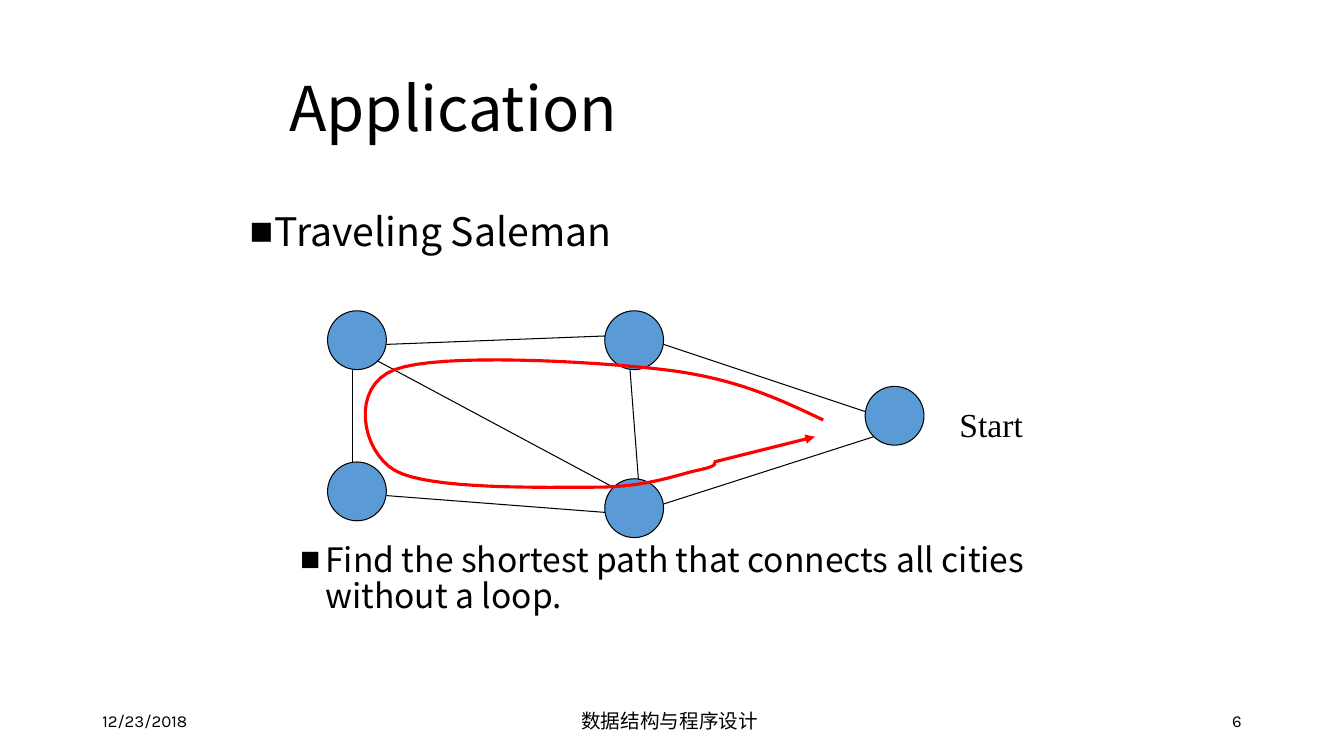
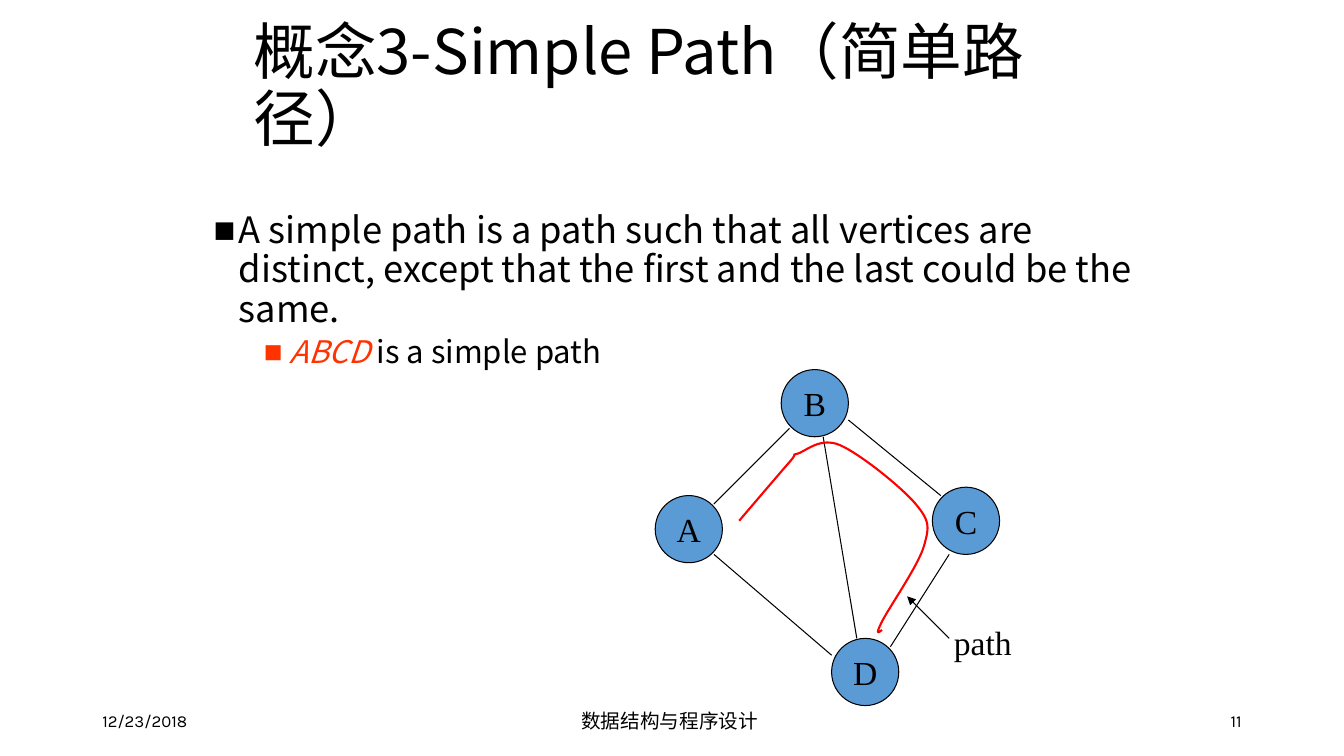
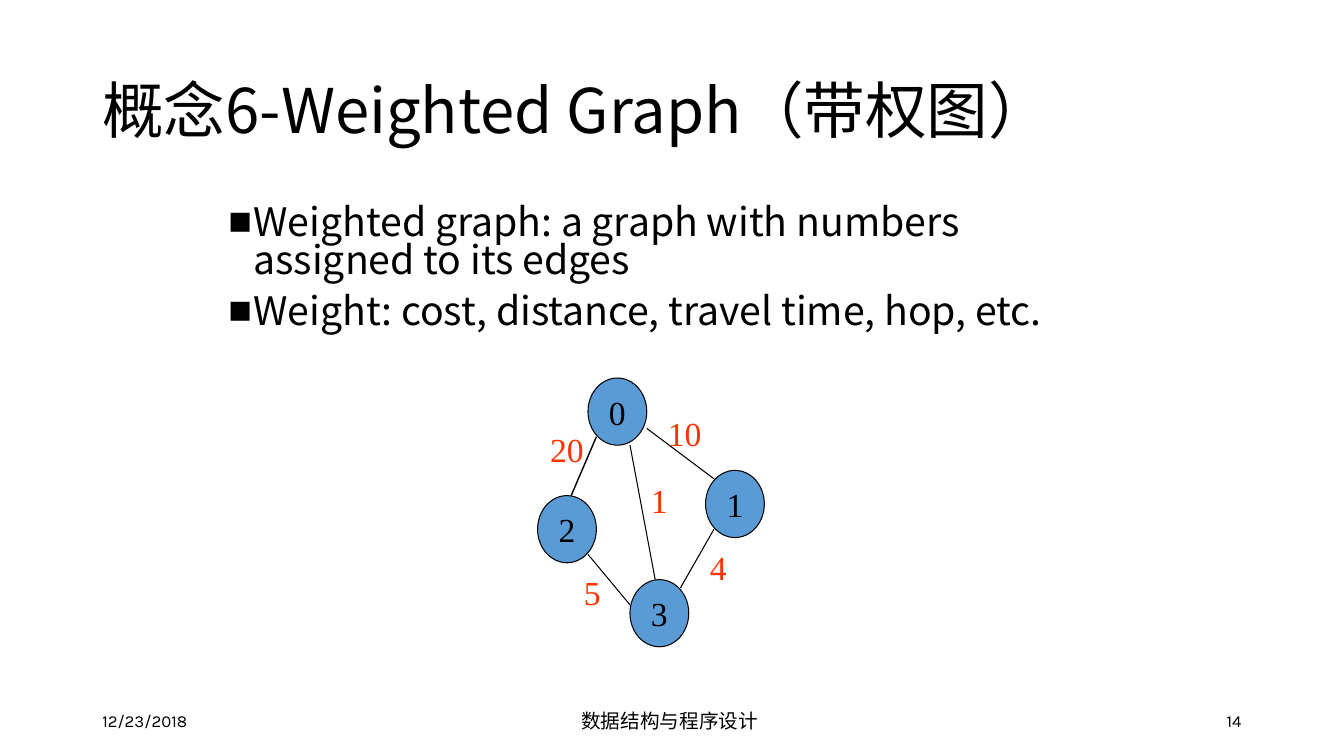
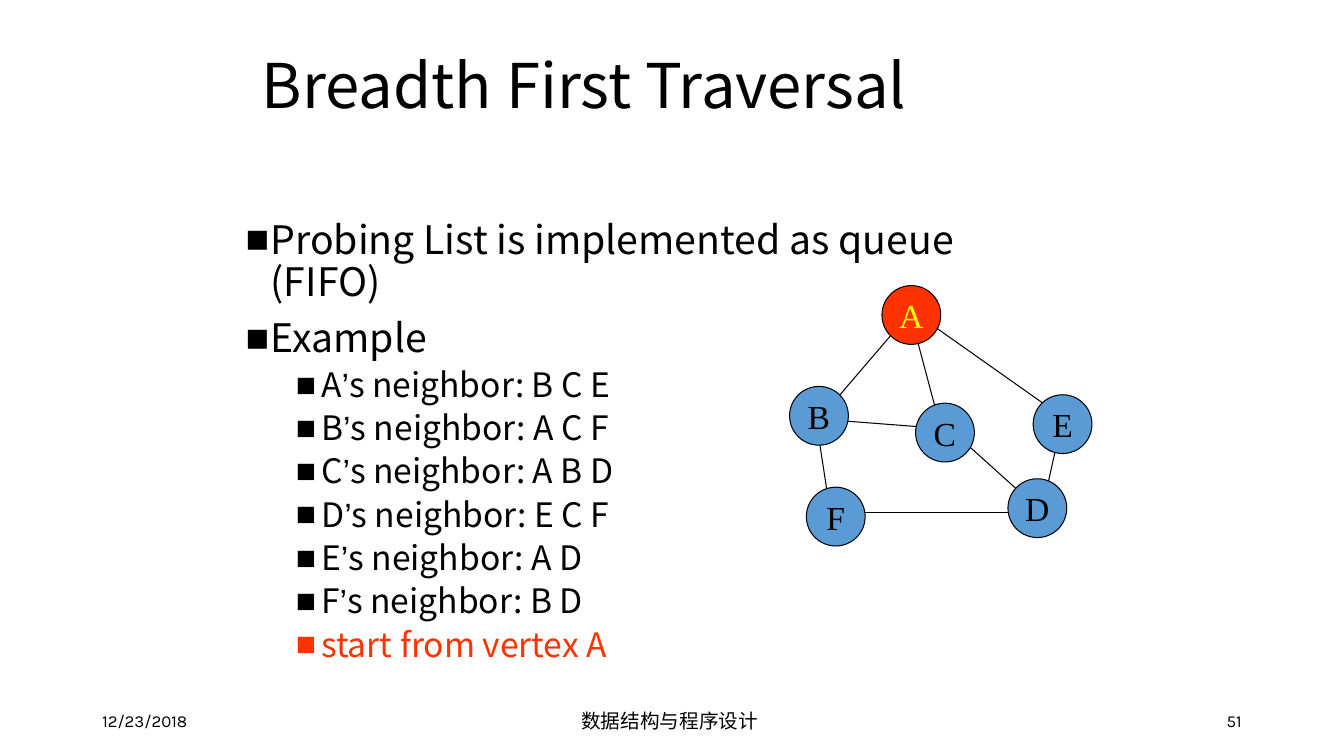
from lxml import etree
from pptx import Presentation, util as u
from pptx.dml.color import RGBColor
from pptx.enum import shapes, text
from pptx.oxml.ns import qn

COLUMNS, ROWS = 160, 90
CELL = u.Inches(1) // 12
COLORS = {
    "ink": "000000",
    "node": "5B9BD5",
    "accent": "FF3300",
    "route": "FF0000",
    "start": "FFFF00",
}
FONTS = {"main": "Noto Sans CJK SC", "footer": "Karla", "graph": "Times New Roman", "mark": "Arial"}
CENTER = text.PP_ALIGN.CENTER
MIDDLE = text.MSO_ANCHOR.MIDDLE
TIGHT = {"word_wrap": False, "margin_left": 0, "margin_right": 0}
STEPS = 16


def cells(*values):
    return [round(value * CELL) for value in values]


def rgb(name):
    return RGBColor.from_string(COLORS[name])


def apply(target, values):
    for name, value in values.items():
        setattr(target, name, value)


def add_span(para, words, font, size, color="ink", **extra):
    span = para.add_run()
    span.text = words
    apply(span.font, {"name": FONTS[font], "size": u.Pt(size), **extra})
    span.font.color.rgb = rgb(color)


def add_box(slide, place, **frame_format):
    box = slide.shapes.add_textbox(*cells(*place))
    apply(box.text_frame, {"word_wrap": True, "vertical_anchor": MIDDLE, **frame_format})
    return box.text_frame


def add_line_of_text(slide, place, words, font, size, **layout):
    para = add_box(slide, place).paragraphs[0]
    apply(para, layout)
    add_span(para, words, font, size)


def add_label(slide, place, words, color="ink"):
    para = add_box(slide, place, **TIGHT).paragraphs[0]
    para.alignment = CENTER
    add_span(para, words, "graph", 24, color)


def add_bullet_mark(para, level):
    props = para._p.get_or_add_pPr()
    props.set("marL", str(u.Inches(0.25 + 0.5 * level)))
    props.set("indent", str(-u.Inches(0.25)))
    etree.SubElement(props, qn("a:buFont")).set("typeface", FONTS["mark"])
    etree.SubElement(props, qn("a:buChar")).set("char", "■")


def add_body(slide, place, items, sizes=(28, 24), spacing=0.9, gaps=(10, 5)):
    frame = add_box(slide, place, vertical_anchor=text.MSO_ANCHOR.TOP)
    for index, (level, *spans) in enumerate(items):
        para = frame.add_paragraph() if index else frame.paragraphs[0]
        apply(para, {"level": level, "line_spacing": spacing, "space_before": u.Pt(gaps[level])})
        add_bullet_mark(para, level)
        for words, extra in spans:
            add_span(para, words, **{"font": "main", "size": sizes[level], **extra})


def add_line(slide, start, end, color="ink", width=0.75, arrow=False):
    line = slide.shapes.add_connector(shapes.MSO_CONNECTOR.STRAIGHT, *cells(*start, *end))
    line.line.color.rgb = rgb(color)
    line.line.width = u.Pt(width)
    if arrow:
        etree.SubElement(line.line._get_or_add_ln(), qn("a:tailEnd")).set("type", "triangle")
    etree.SubElement(line._element.spPr, qn("a:effectLst"))


def add_node(slide, place, words="", fill="node", color="ink"):
    node = slide.shapes.add_shape(shapes.MSO_SHAPE.OVAL, *cells(*place))
    node.shadow.inherit = False
    node.fill.solid()
    node.fill.fore_color.rgb = rgb(fill)
    node.line.color.rgb = rgb("ink")
    node.line.width = u.Pt(0.75)
    if words:
        frame = node.text_frame
        apply(frame, {**TIGHT, "vertical_anchor": MIDDLE})
        frame.paragraphs[0].alignment = CENTER
        add_span(frame.paragraphs[0], words, "graph", 24, color)


def add_graph(slide, size, nodes, edges):
    for x1, y1, x2, y2 in edges:
        add_line(slide, (x1, y1), (x2, y2))
    for corner, *look in nodes:
        add_node(slide, (*corner, *size), *look)


def blend(first, second, share=0.5):
    return tuple(a + (b - a) * share for a, b in zip(first, second))


def bezier_point(controls, share):
    while len(controls) > 1:
        controls = [blend(a, b, share) for a, b in zip(controls, controls[1:])]
    return controls[0]


def smooth_points(knots):
    tangents = [tuple((b - a) / 6 for a, b in zip(before, after))
                for before, after in zip(knots, knots[2:])]
    last = len(knots) - 2
    points = [knots[0]]
    for index, (start, end) in enumerate(zip(knots, knots[1:])):
        leave = arrive = None
        if index > 0:
            leave = tuple(p + t for p, t in zip(start, tangents[index - 1]))
        if index < last:
            arrive = tuple(p - t for p, t in zip(end, tangents[index]))
        leave = leave or blend(start, arrive)
        arrive = arrive or blend(leave, end)
        points += [bezier_point([start, leave, arrive, end], step / STEPS)
                   for step in range(1, STEPS + 1)]
    return points


def add_route(slide, knots, width):
    start, *rest = [cells(*point) for point in smooth_points(knots)]
    builder = slide.shapes.build_freeform(*start)
    builder.add_line_segments(rest, close=False)
    route = builder.convert_to_shape()
    route.shadow.inherit = False
    route.fill.background()
    route.line.color.rgb = rgb("route")
    route.line.width = u.Pt(width)


def add_slide(deck, number, title, title_place):
    slide = deck.slides.add_slide(deck.slide_layouts[6])
    footer_row, footer_height = 83.4, 4.8
    for left, width, words, size, align in (
        (11, 36, "12/23/2018", 12, text.PP_ALIGN.LEFT),
        (53, 54, "数据结构与程序设计 ", 14, CENTER),
        (113, 36, str(number), 12, text.PP_ALIGN.RIGHT),
    ):
        add_line_of_text(slide, (left, footer_row, width, footer_height),
                         words, "footer", size, alignment=align)
    add_line_of_text(slide, title_place, title, "main", 44, line_spacing=0.9)
    return slide


def application(deck):
    slide = add_slide(deck, 6, "Application", (33.25, 5.8, 102, 15))
    add_body(slide, (28.55, 24.7, 102, 61), [
        (0, ("Traveling Saleman", {})),
        (1, ("Find the shortest path that connects all cities without a loop.", {})),
    ], gaps=(10, 206))
    add_graph(slide, (7, 7),
              [((39, 37),), ((72, 57),), ((39, 55),), ((72, 37),), ((103, 46),)],
              [(42, 44, 42, 55), (46, 41, 72, 40), (79, 41, 103, 49), (46, 59, 72, 61),
               (79, 60, 104, 52), (75, 44, 76, 57), (45, 43, 73, 58)])
    add_label(slide, (113, 47, 10, 7), "Start")
    add_route(slide, [(98, 50), (79, 44), (47, 44), (47, 56), (71, 58), (83, 56), (85, 55)], 2.25)
    add_line(slide, (85, 55), (97, 52), "route", 2.25, arrow=True)


def simple_path(deck):
    slide = add_slide(deck, 11, "概念3-Simple Path（简单路径）", (29, 3, 102, 15))
    add_body(slide, (24.25, 24.7, 113, 19), [
        (0, ("A simple path is a path such that all vertices are distinct, "
             "except that the first and the last could be the same.", {})),
        (1, ("ABCD", {"color": "accent", "italic": True}), (" is a simple path", {})),
    ], sizes=(25.9, 22.2))
    add_graph(slide, (8, 8),
              [((93, 44), "B"), ((111, 58), "C"), ((99, 76), "D"), ((78, 59), "A")],
              [(94, 51, 85, 60), (85, 66, 99, 78), (106, 77, 113, 66),
               (98, 52, 102, 76), (101, 50, 112, 59)])
    add_line(slide, (113, 76), (108, 71), arrow=True)
    add_label(slide, (112, 74, 10, 5), "path")
    add_route(slide, [(88, 62), (94, 55), (95, 54), (100, 53), (109, 60),
                      (110, 65), (105, 74), (105, 75)], 1.5)


def weighted_graph(deck):
    slide = add_slide(deck, 14, "概念6-Weighted Graph（带权图）", (11, 4.8, 138, 17.4))
    add_body(slide, (26, 24, 106, 17), [
        (0, ("Weighted graph: a graph with numbers assigned to its edges", {})),
        (0, ("Weight: cost, distance, travel time, hop, etc.", {})),
    ], spacing=0.8)
    add_line(slide, (71, 52), (68, 59), width=1)
    add_graph(slide, (7, 8),
              [((70, 45), "0"), ((84, 56), "1"), ((75, 69), "3"), ((64, 59), "2")],
              [(70, 66, 75, 72), (77, 51, 85, 57), (85, 63, 81, 70), (75, 53, 78, 69)])
    for left, top, weight in ((65, 51, 20), (79, 49, 10), (76, 57, 1), (68, 68, 5), (83, 65, 4)):
        add_label(slide, (left, top, 5, 5), str(weight), "accent")


def breadth_first(deck):
    slide = add_slide(deck, 51, "Breadth First Traversal", (30, 3, 102, 15))
    neighbors = {"A": "B C E", "B": "A C F", "C": "A B D", "D": "E C F", "E": "A D", "F": "B D"}
    add_body(slide, (28.05, 25.65, 98, 58), [
        (0, ("Probing List is implemented as queue (FIFO)", {})),
        (0, ("Example", {})),
        *((1, (vertex, {}), ("’", {"font": "mark"}), (f"s neighbor: {others}", {}))
          for vertex, others in neighbors.items()),
        (1, ("start from vertex A", {"color": "accent"})),
    ])
    add_graph(slide, (7, 7),
              [((105, 34), "A", "accent", "start"), ((94, 46), "B"), ((109, 48), "C"),
               ((123, 47), "E"), ((96, 58), "F"), ((120, 57), "D")],
              [(99, 50, 112, 51), (106, 40, 100, 47), (108, 36, 112, 51), (110, 38, 127, 50),
               (97, 49, 99, 62), (126, 52, 124, 61), (113, 51, 123, 60), (101, 61, 122, 61)])


def main():
    deck = Presentation()
    deck.slide_width, deck.slide_height = cells(COLUMNS, ROWS)
    for build in (application, simple_path, weighted_graph, breadth_first):
        build(deck)
    deck.save("out.pptx")


if __name__ == "__main__":
    main()
